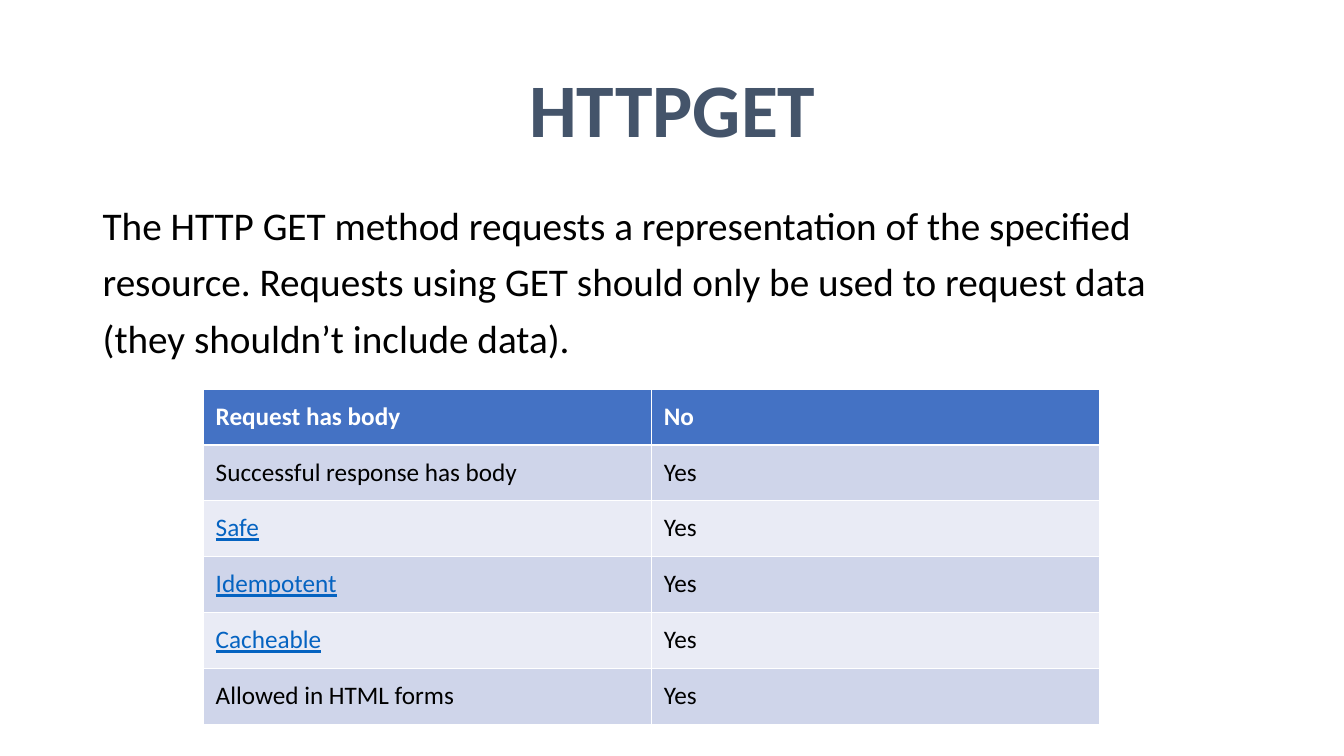
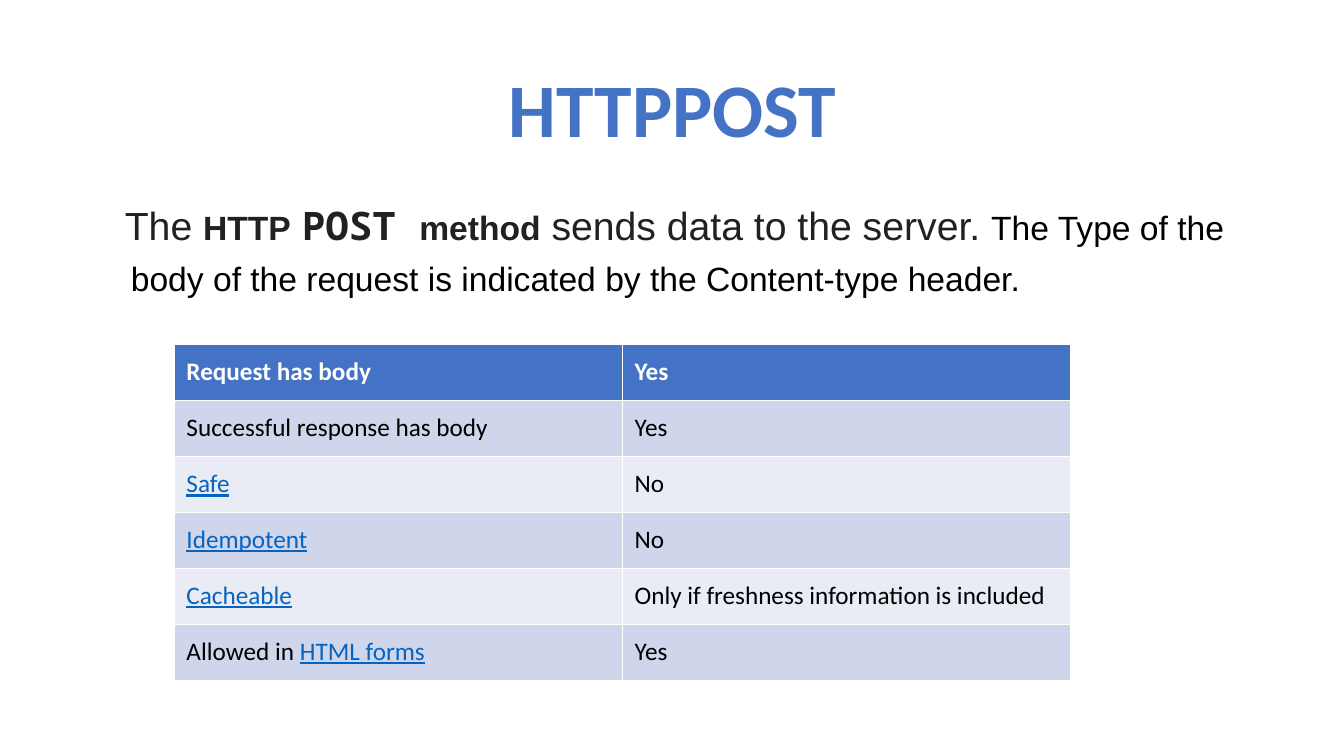
import pptx
import pptx.dml.color
import pptx.enum.text
import pptx.util

Inches = pptx.util.Inches
Pt = pptx.util.Pt
ALIGN = pptx.enum.text.PP_ALIGN
ANCHOR = pptx.enum.text.MSO_ANCHOR

COLORS = {
    "black": "000000",
    "white": "FFFFFF",
    "ink": "212121",
    "slate": "44546A",
    "blue": "4472C4",
    "link": "0563C1",
    "band_dark": "CFD5EA",
    "band_light": "E9EBF5",
}
TITLE_BOX = (0.92, 0.4, 11.5, 1.45)
BODY_BOX = (0.92, 2, 11.5, 4.76)
TABLE_SIZE = (8.89, 3.33)
CELL_MARGIN = 0.12
LINK = {"color": "link", "underline": True}


def rgb(name):
    return pptx.dml.color.RGBColor.from_string(COLORS[name])


def add_run(p, text, size=18, font="Calibri", color="black", bold=False, underline=False):
    r = p.add_run()
    r.text = text
    r.font.size = Pt(size)
    r.font.name = font
    r.font.color.rgb = rgb(color)
    r.font.bold = bold
    r.font.underline = underline


def add_box(s, box, anchor=ANCHOR.TOP):
    tf = s.shapes.add_textbox(*map(Inches, box)).text_frame
    tf.word_wrap = True
    tf.vertical_anchor = anchor
    return tf


def add_title(s, box, text, color):
    p = add_box(s, box, ANCHOR.MIDDLE).paragraphs[0]
    p.alignment = ALIGN.CENTER
    p.line_spacing = 0.9
    add_run(p, text, size=54, color=color, bold=True)


def add_body(s, box, lines):
    tf = add_box(s, box)
    for i, (indent, runs) in enumerate(lines):
        p = tf.add_paragraph() if i else tf.paragraphs[0]
        p.line_spacing = 0.9
        p.space_before = Pt(10)
        p._p.get_or_add_pPr().set("marL", str(Inches(indent)))
        for text, fmt in runs:
            add_run(p, text, **fmt)


def fill_cell(cell, runs, fill):
    cell.fill.solid()
    cell.fill.fore_color.rgb = rgb(fill)
    cell.margin_left = cell.margin_right = Inches(CELL_MARGIN)
    cell.margin_top = cell.margin_bottom = Inches(CELL_MARGIN)
    for text, fmt in runs:
        add_run(cell.text_frame.paragraphs[0], text, **fmt)


def add_properties(s, left, top, answers, forms_label):
    header = {"color": "white", "bold": True}
    labels = [
        [("Request has body", header)],
        [("Successful response has body", {})],
        [("Safe", LINK)],
        [("Idempotent", LINK)],
        [("Cacheable", LINK)],
        forms_label,
    ]
    width, height = TABLE_SIZE
    box = map(Inches, (left, top, width, height))
    table = s.shapes.add_table(len(labels), 2, *box).table
    for i, (label, answer) in enumerate(zip(labels, answers)):
        band = "band_dark" if i % 2 else "band_light"
        fill = band if i else "blue"
        fill_cell(table.cell(i, 0), label, fill)
        fill_cell(table.cell(i, 1), [(answer, {} if i else header)], fill)


def add_method_slide(prs, title, color, lines, table_at, answers, forms_label):
    s = prs.slides.add_slide(prs.slide_layouts[6])
    add_title(s, TITLE_BOX, title, color)
    add_body(s, BODY_BOX, lines)
    add_properties(s, *table_at, answers, forms_label)


def main():
    prs = pptx.Presentation()
    prs.slide_width = Inches(13.33)
    prs.slide_height = Inches(7.5)

    get_lines = [
        "The HTTP GET method requests a representation of the specified",
        "resource. Requests using GET should only be used to request data",
        "(they shouldn’t include data).",
    ]
    add_method_slide(
        prs, "HTTPGET", "slate",
        [(0, [(line, {"size": 28})]) for line in get_lines],
        (2.02, 3.86),
        ["No", "Yes", "Yes", "Yes", "Yes", "Yes"],
        [("Allowed in HTML forms", {})],
    )

    large = {"size": 28, "font": "Arial", "color": "ink"}
    strong = {**large, "size": 24, "bold": True}
    code = {**large, "font": "Noto Sans Mono", "bold": True}
    plain = {"size": 24, "font": "Arial"}
    post_lines = [
        (0.22, [
            ("The ", large),
            ("HTTP", strong),
            (" ", {**large, "bold": True}),
            ("POST ", code),
            ("method", strong),
            (" sends data to the server. ", large),
            ("The Type of the", plain),
        ]),
        (0.28, [("body of the request is indicated by the Content-type header.", plain)]),
    ]
    add_method_slide(
        prs, "HTTPPOST", "blue", post_lines,
        (1.73, 3.42),
        ["Yes", "Yes", "No", "No", "Only if freshness information is included", "Yes"],
        [("Allowed in ", {}), ("HTML forms", LINK)],
    )

    prs.save("out.pptx")


if __name__ == "__main__":
    main()
